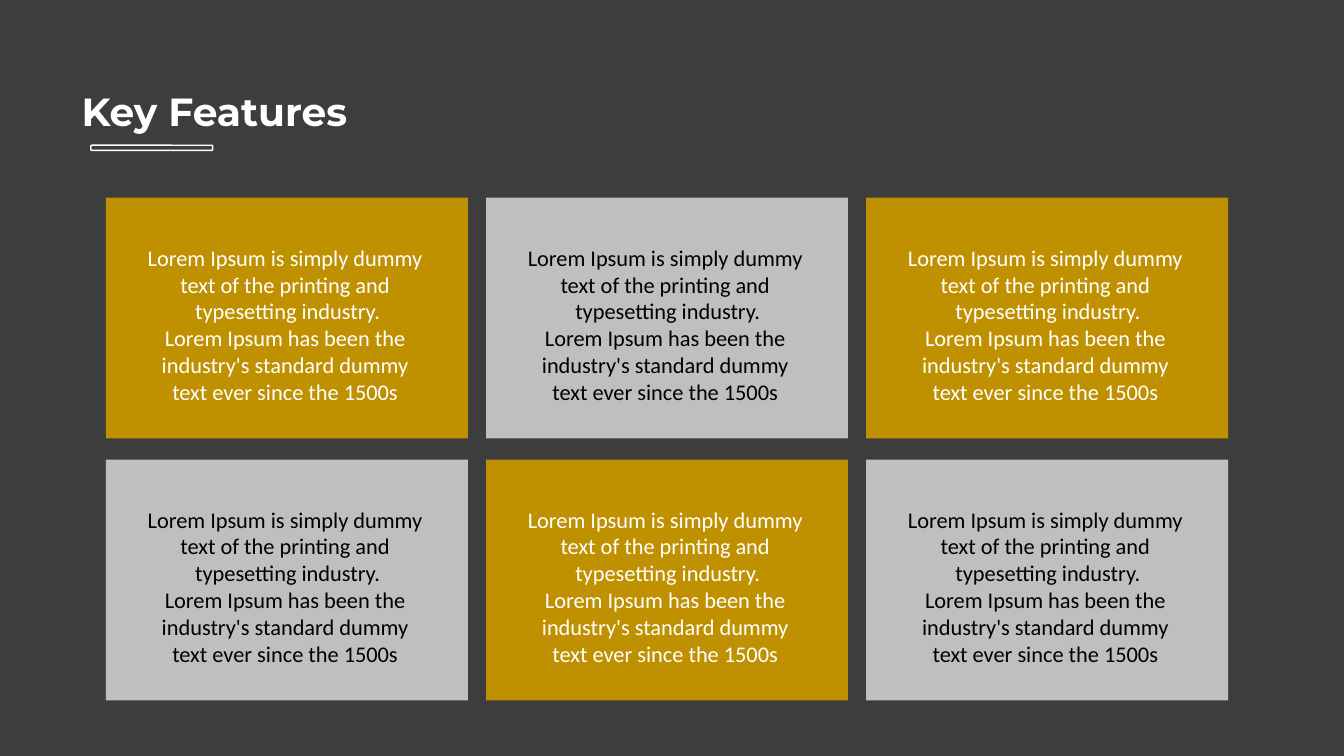
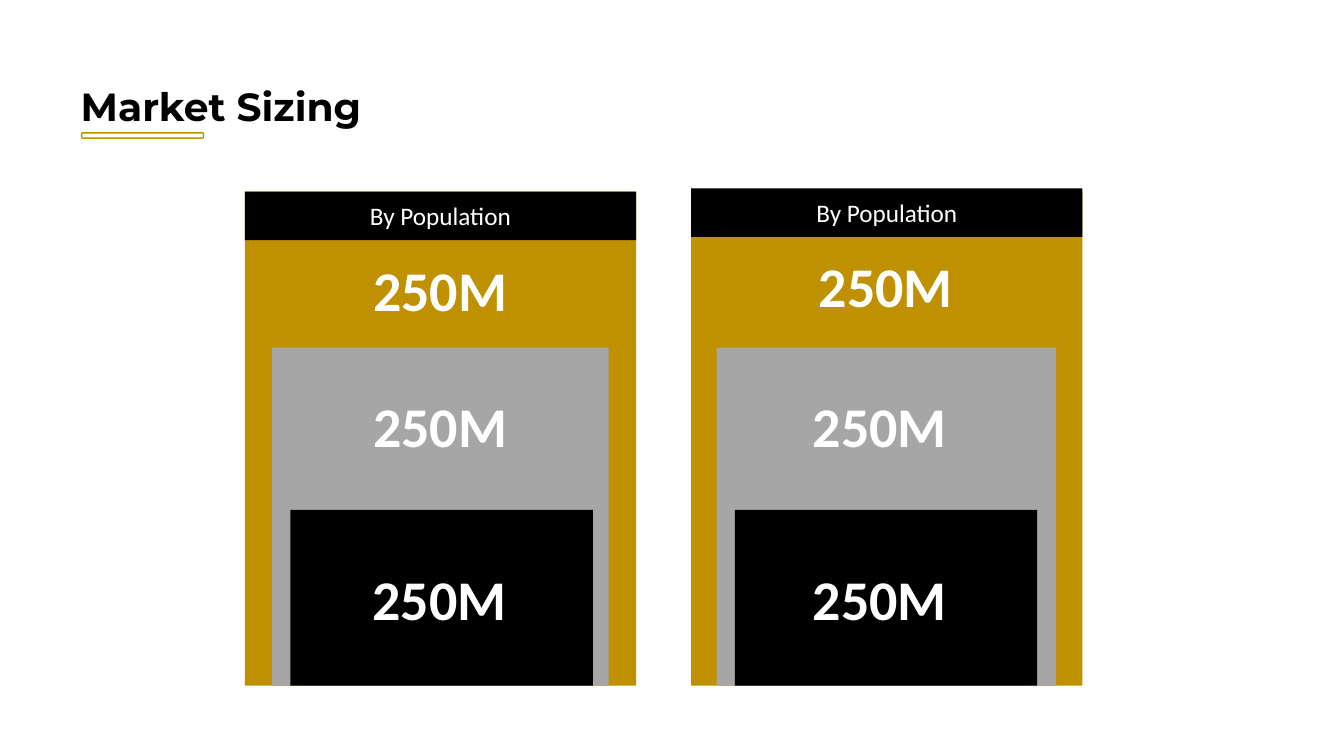
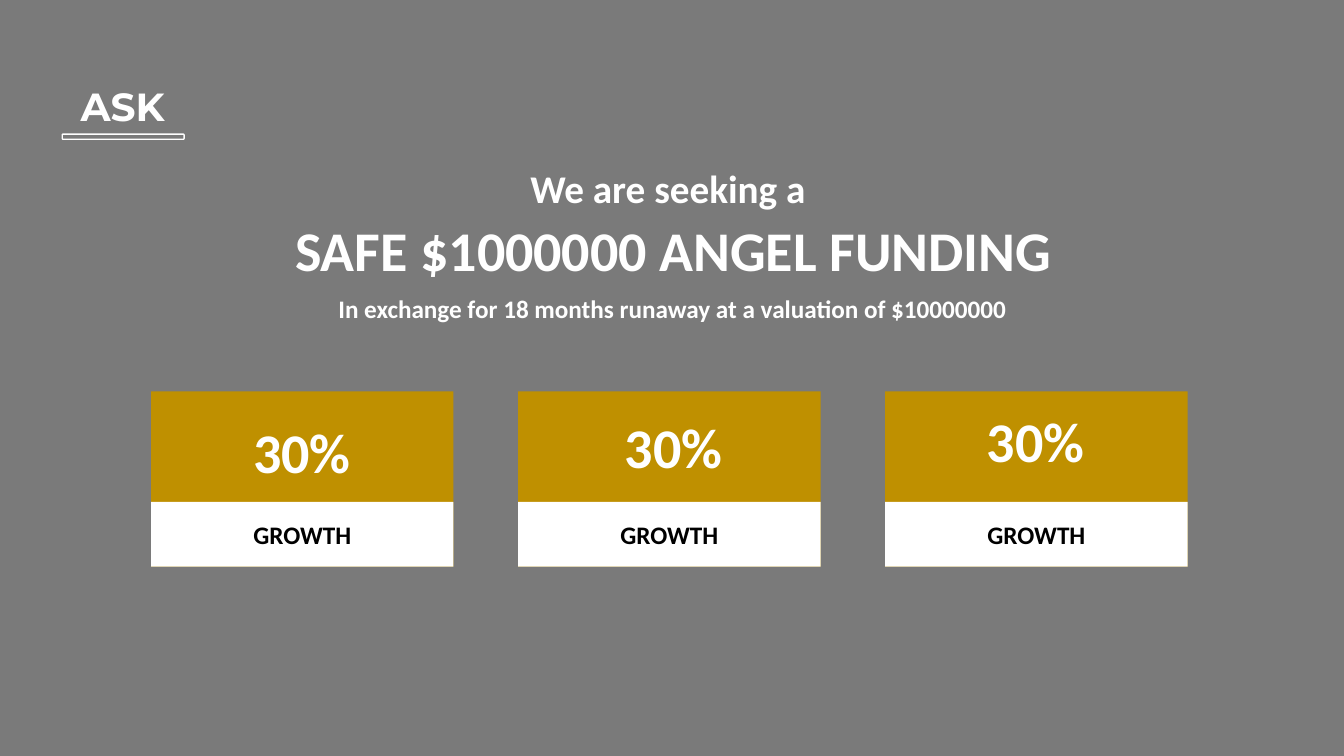
from pptx import Presentation
from pptx.dml.color import RGBColor
from pptx.enum import shapes, text
from pptx.util import Cm, Pt

COLORS = {
    "gold": "BF9000", "silver": "BFBFBF", "grey": "A6A6A6",
    "black": "000000", "white": "FFFFFF",
    "charcoal": "3D3D3D", "slate": "7A7A7A",
}


def write(box, words, size=18, color="white", bold=False, font="Calibri",
          align="CENTER", anchor="TOP", wrap=False, spacing=None):
    """Fill a box with text, one paragraph per line."""
    frame = box.text_frame
    frame.text = words
    frame.word_wrap = wrap
    frame.auto_size = text.MSO_AUTO_SIZE.NONE
    frame.vertical_anchor = text.MSO_ANCHOR[anchor]
    for para in frame.paragraphs:
        para.alignment = text.PP_ALIGN[align]
        para.line_spacing = spacing
        for span in para.runs:
            span.font.name = font
            span.font.size = Pt(size)
            span.font.bold = bold
            span.font.color.rgb = RGBColor.from_string(COLORS[color])


def add_block(page, left, top, width, height, fill=None, outline=None, kind="RECTANGLE"):
    """Add a flat shape, placed in centimetres."""
    block = page.shapes.add_shape(
        shapes.MSO_SHAPE[kind], Cm(left), Cm(top), Cm(width), Cm(height))
    block.shadow.inherit = False
    if fill:
        block.fill.solid()
        block.fill.fore_color.rgb = RGBColor.from_string(COLORS[fill])
    else:
        block.fill.background()
    if outline:
        block.line.color.rgb = RGBColor.from_string(COLORS[outline])
        block.line.width = Pt(1)
    else:
        block.line.fill.background()
    return block


deck = Presentation()
deck.slide_width, deck.slide_height = Cm(33.87), Cm(19.05)

# Shared parts: background, title and the thin rule below it
# title, background, title colour, rule colour, title place, rule place
openings = [
    ("Key Features", "charcoal", "white", "white", (1.8, 1.9, 7.7), (2.29, 3.66)),
    ("Market Sizing", "white", "black", "gold", (1.78, 1.78, 7.92), (2.06, 3.35)),
    ("ASK", "slate", "white", "white", (1.78, 1.78, 2.84), (1.57, 3.38)),
]
pages = []
for heading, backdrop, ink, rule, (left, top, width), rule_place in openings:
    page = deck.slides.add_slide(deck.slide_layouts[5])
    page.background.fill.solid()
    page.background.fill.fore_color.rgb = RGBColor.from_string(COLORS[backdrop])
    title = page.shapes.title
    title.left, title.top = Cm(left), Cm(top)
    title.width, title.height = Cm(width), Cm(1.55)
    write(title, heading, size=28, color=ink, bold=True, font="Montserrat",
          align="LEFT", spacing=1.15)
    add_block(page, *rule_place, 3.07, 0.13, outline=rule, kind="ROUNDED_RECTANGLE")
    pages.append(page)
features, market, ask = pages

# Key features: a grid of cards in alternating colours
blurb = "\n".join([
    "Lorem Ipsum is simply dummy ",
    "text of the printing and ",
    "typesetting industry.",
    "Lorem Ipsum has been the ",
    "industry's standard dummy ",
    "text ever since the 1500s ",
])
for row in range(2):
    for column in range(3):
        fill, ink = [("gold", "white"), ("silver", "black")][(row + column) % 2]
        left, top = 2.67 + 9.58 * column, 4.98 + 6.6 * row
        add_block(features, left, top, 9.12, 6.07, fill)
        box = features.shapes.add_textbox(
            Cm(left + 0.53), Cm(top + 1.04), Cm(8.1), Cm(4.37))
        write(box, blurb, size=16, color=ink, wrap=True)

# Market sizing: nested blocks standing on one base line
base = 17.28
towers = [
    # header top, blocks (left, width), figures (left, top)
    (4.83, [(6.17, 9.86), (6.86, 8.48), (7.32, 7.62)],
     [(9.14, 6.32), (9.14, 9.73), (9.12, 14.1)]),
    (4.75, [(17.42, 9.86), (18.06, 8.56), (18.52, 7.62)],
     [(20.37, 6.22), (20.22, 9.73), (20.22, 14.1)]),
]
levels = [("gold", 4.83), ("grey", 8.76), ("black", 12.85)]
for header_top, blocks, figures in towers:
    for (left, width), (fill, top) in zip(blocks, levels):
        add_block(market, left, top, width, base - top, fill)
    header = add_block(market, blocks[0][0], header_top, 9.86, 1.22, "black")
    write(header, "By Population", anchor="MIDDLE", wrap=True)
    for left, top in figures:
        box = market.shapes.add_textbox(Cm(left), Cm(top), Cm(3.91), Cm(1.96))
        write(box, "250M", size=40, bold=True)

# Ask: the three lines of the offer
offer = [
    ("We are seeking a", 28, (13.06, 4.01, 7.54, 1.45)),
    ("SAFE $1000000 ANGEL FUNDING", 40, (7.09, 5.31, 19.76, 1.96)),
    ("In exchange for 18 months runaway at a valuation of $10000000", 18,
     (8.2, 7.26, 17.5, 1.02)),
]
for words, size, place in offer:
    box = ask.shapes.add_textbox(*map(Cm, place))
    write(box, words, size=size, bold=True)

# Ask: growth cards
for column, (figure_left, figure_top) in enumerate(
        [(6.12, 10.39), (15.49, 10.26), (24.61, 10.13)]):
    left = 3.81 + 9.25 * column
    add_block(ask, left, 9.86, 7.62, 4.42, "gold")
    label = add_block(ask, left, 12.65, 7.62, 1.63, "white")
    write(label, "GROWTH", color="black", bold=True, anchor="MIDDLE", wrap=True)
    box = ask.shapes.add_textbox(Cm(figure_left), Cm(figure_top), Cm(2.97), Cm(1.96))
    write(box, "30%", size=40, bold=True)

deck.save("out.pptx")
